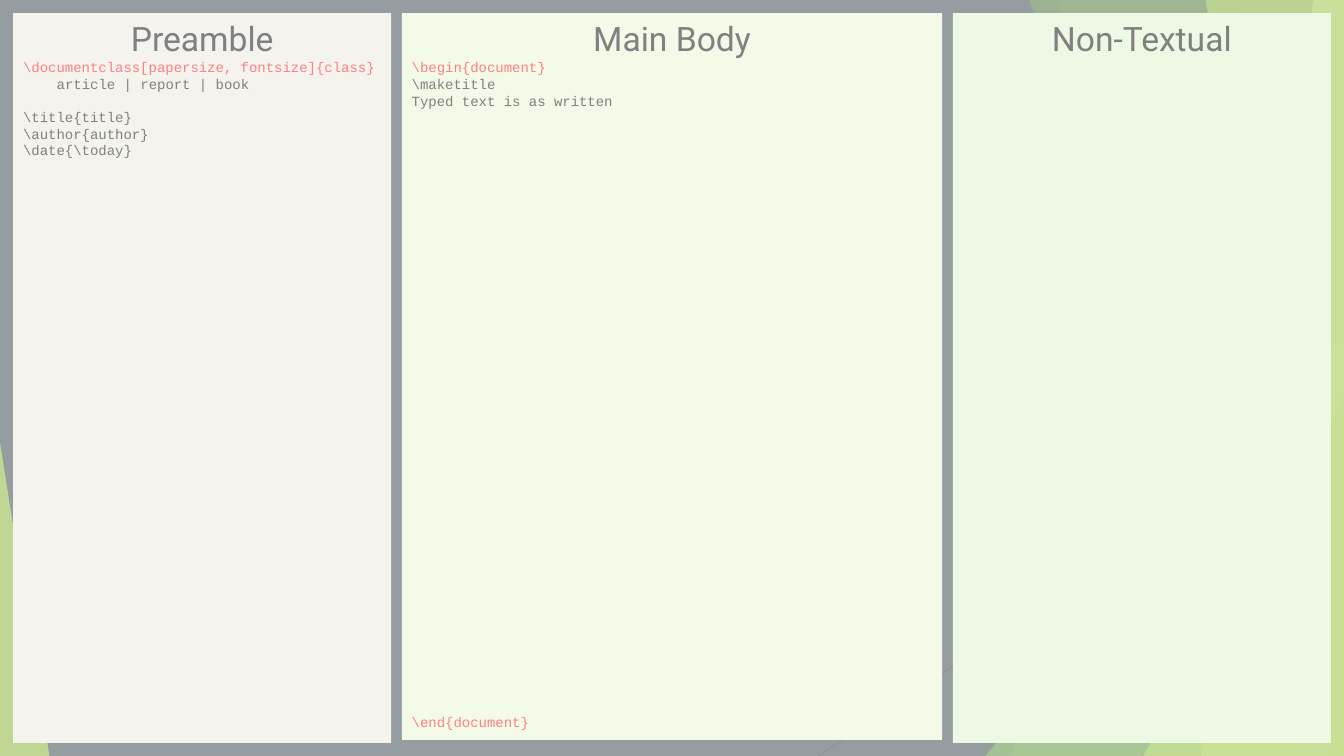
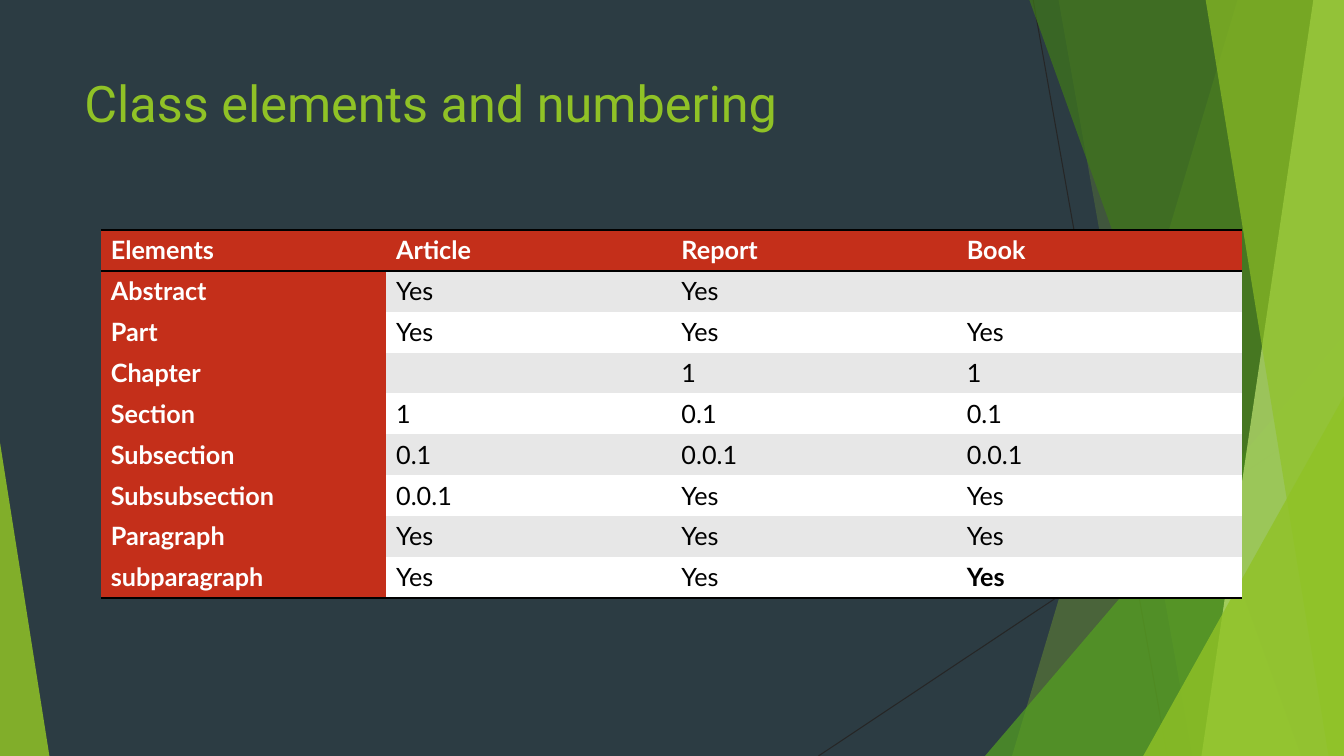
from lxml.etree import SubElement
from pptx import Presentation
from pptx.dml.color import RGBColor as RGB
from pptx.enum.shapes import MSO_CONNECTOR as CONN, MSO_SHAPE as SHAPE
from pptx.enum.text import MSO_ANCHOR as ANCHOR, PP_ALIGN as ALIGN
from pptx.oxml.ns import qn
from pptx.util import Pt

W, H = 960, 540
TOP = -0.6  # the facets start just above the slide edge
NO_STYLE = "{2D5ABB26-0587-4C30-8999-92F81FD0307C}"
C = {
    "back": "2C3C43", "hairline": "262626", "black": "000000", "white": "FFFFFF",
    "lime": "90C226", "green": "54A021", "forest": "3F7819", "pale": "C0E474",
    "sand": "EAE8DC", "cream": "EAF6D1", "mint": "DBF4CA",
    "command": "FF0000", "header": "C42F1A", "band": "E7E7E7",
}
HEAD, CODE, BODY = "Roboto", "Courier New", "Lato"

# Background art: facets are (top x, bottom x), triangles are boxes with an apex
HAIRLINES = [(738, 0, 833.8, H), (W, 290.2, 584.6, H)]
FACETS = [
    ("facet", (884.2, 722.9), "lime", 30),
    ("facet", (756, 851.8), "lime", 20),
    ("triangle", (703.6, 239.8, 256.4, 300.2, 1), "green", 72),
    ("facet", (735.1, 929.5), "forest", 70),
    ("facet", (938.2, 858.2), "pale", 70),
    ("facet", (861.1, 949), "lime", 65),
    ("triangle", (816.6, 283, 143.4, 257, 1), "lime", 80),
    ("triangle", (0, 316.1, 35.3, 223.9, 0), "lime", 85),
]


def write(tf, text, first=False, font=BODY, size=18, color="black", bold=False,
          align=ALIGN.LEFT, before=0, indent=0):
    """Add one formatted paragraph to a text frame."""
    p = tf.paragraphs[0] if first else tf.add_paragraph()
    p.alignment = align
    p.space_before = Pt(before)
    if indent:
        p._p.get_or_add_pPr().set("marL", str(Pt(indent)))
    r = p.add_run()
    r.text = text
    f = r.font
    f.name, f.size, f.bold = font, Pt(size), bold
    f.color.rgb = RGB.from_string(C[color])


class Deck:
    def __init__(self):
        self.prs = Presentation()
        self.prs.slide_width, self.prs.slide_height = Pt(W), Pt(H)
        fill = self.prs.slide_master.background.fill
        fill.solid()
        fill.fore_color.rgb = RGB.from_string(C["back"])
        self.s = None

    def slide(self):
        self.s = self.prs.slides.add_slide(self.prs.slide_layouts[6])
        for ends in HAIRLINES:
            self.line(*ends)
        for kind, geometry, color, alpha in FACETS:
            draw = self.facet if kind == "facet" else self.triangle
            draw(*geometry, color, alpha)

    def paint(self, sp, color, alpha=100):
        sp.shadow.inherit = False
        sp.line.fill.background()
        sp.fill.solid()
        sp.fill.fore_color.rgb = RGB.from_string(C[color])
        if alpha < 100:
            clr = sp._element.spPr.find(qn("a:solidFill")).find(qn("a:srgbClr"))
            SubElement(clr, qn("a:alpha")).set("val", str(alpha * 1000))
        return sp

    def line(self, x1, y1, x2, y2):
        cx = self.s.shapes.add_connector(CONN.STRAIGHT, Pt(x1), Pt(y1), Pt(x2), Pt(y2))
        cx.line.width = Pt(0.75)
        cx.line.color.rgb = RGB.from_string(C["hairline"])
        SubElement(cx._element.spPr, qn("a:effectLst"))

    def facet(self, top_x, bottom_x, color, alpha):
        fb = self.s.shapes.build_freeform(Pt(top_x), Pt(TOP))
        fb.add_line_segments([(Pt(x), Pt(y)) for x, y in
                              ((W, TOP), (W, H), (bottom_x, H))])
        self.paint(fb.convert_to_shape(), color, alpha)

    def triangle(self, x, y, w, h, apex, color, alpha):
        sp = self.s.shapes.add_shape(SHAPE.ISOSCELES_TRIANGLE, Pt(x), Pt(y), Pt(w), Pt(h))
        sp.adjustments[0] = apex
        self.paint(sp, color, alpha)

    def rect(self, x, y, w, h, color, alpha=100):
        sp = self.s.shapes.add_shape(SHAPE.RECTANGLE, Pt(x), Pt(y), Pt(w), Pt(h))
        return self.paint(sp, color, alpha)

    def panel(self, x, y, w, h, color, heading, lines):
        tf = self.rect(x, y, w, h, color).text_frame
        tf.word_wrap = True
        tf.vertical_anchor = ANCHOR.TOP
        write(tf, heading, first=True, font=HEAD, size=24, align=ALIGN.CENTER)
        for text, style in lines:
            write(tf, text, font=CODE, size=10, **style)

    def title(self, text):
        tf = self.s.shapes.add_textbox(Pt(53.3), Pt(48), Pt(676.8), Pt(104)).text_frame
        tf.word_wrap = True
        write(tf, text, first=True, font=HEAD, size=36, color="lime")

    def rule(self, cell, side):
        ln = SubElement(cell._tc.get_or_add_tcPr(), qn("a:" + side), w=str(Pt(2)))
        SubElement(SubElement(ln, qn("a:solidFill")), qn("a:srgbClr")).set("val", C["black"])

    def table(self, x, y, col_w, row_h, rows, bold_cell):
        n, m = len(rows), len(rows[0])
        tbl = self.s.shapes.add_table(n, m, Pt(x), Pt(y), Pt(col_w * m), Pt(row_h * n)).table
        tbl.first_row = tbl.horz_banding = False
        tbl._tbl.tblPr.find(qn("a:tableStyleId")).text = NO_STYLE
        for col in tbl.columns:
            col.width = Pt(col_w)
        for i, row in enumerate(rows):
            tbl.rows[i].height = Pt(row_h)
            for j, text in enumerate(row):
                cell = tbl.cell(i, j)
                head = i == 0 or j == 0
                # Rules above and below the header, and under the last row
                if i == 0:
                    self.rule(cell, "lnT")
                if i in (0, n - 1):
                    self.rule(cell, "lnB")
                cell.fill.solid()
                fill = "header" if head else "band" if i % 2 else "white"
                cell.fill.fore_color.rgb = RGB.from_string(C[fill])
                if text:
                    write(cell.text_frame, text, first=True,
                          color="white" if head else "black",
                          bold=head or (i, j) == bold_cell)


def main():
    deck = Deck()
    command = {"color": "command"}

    # Slide 1: three document parts under a white wash
    deck.slide()
    panels = [
        (270, 521.3, "sand", "Preamble", [
            (r"\documentclass[papersize, fontsize]{class}", command),
            ("article | report | book", {"indent": 24}),
            (r"\title{title}", {"before": 11.5}),
            (r"\author{author}", {}),
            (r"\date{\today}", {}),
        ]),
        (386, 519.1, "cream", "Main Body", [
            (r"\begin{document}", command),
            (r"\maketitle", {}),
            ("Typed text is as written", {}),
            (r"\end{document}", {"before": 432, **command}),
        ]),
        (270, 521.3, "mint", "Non-Textual", []),
    ]
    margin, gap = 9.4, 7.6
    x = margin
    for w, h, color, heading, lines in panels:
        deck.panel(x, margin, w, h, color, heading, lines)
        x += w + gap
    deck.rect(0, 0, W, H, "white", 50)

    # Slide 2: which class has which element
    deck.slide()
    deck.title("Class elements and numbering")
    deck.table(72, 164.2, 203.8, 29.2, [
        ("Elements", "Article", "Report", "Book"),
        ("Abstract", "Yes", "Yes", ""),
        ("Part", "Yes", "Yes", "Yes"),
        ("Chapter", "", "1", "1"),
        ("Section", "1", "0.1", "0.1"),
        ("Subsection", "0.1", "0.0.1", "0.0.1"),
        ("Subsubsection", "0.0.1", "Yes", "Yes"),
        ("Paragraph", "Yes", "Yes", "Yes"),
        ("subparagraph", "Yes", "Yes", "Yes"),
    ], bold_cell=(8, 3))

    deck.prs.save("out.pptx")


if __name__ == "__main__":
    main()
